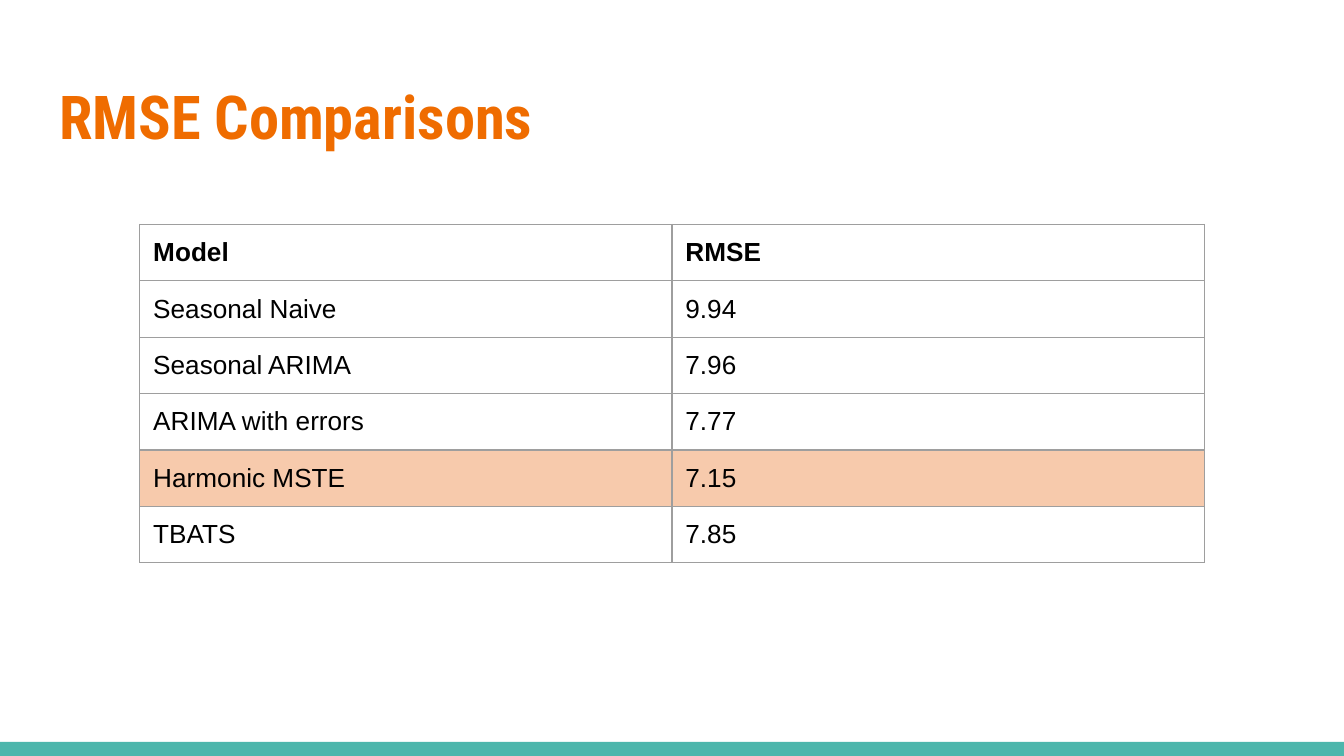
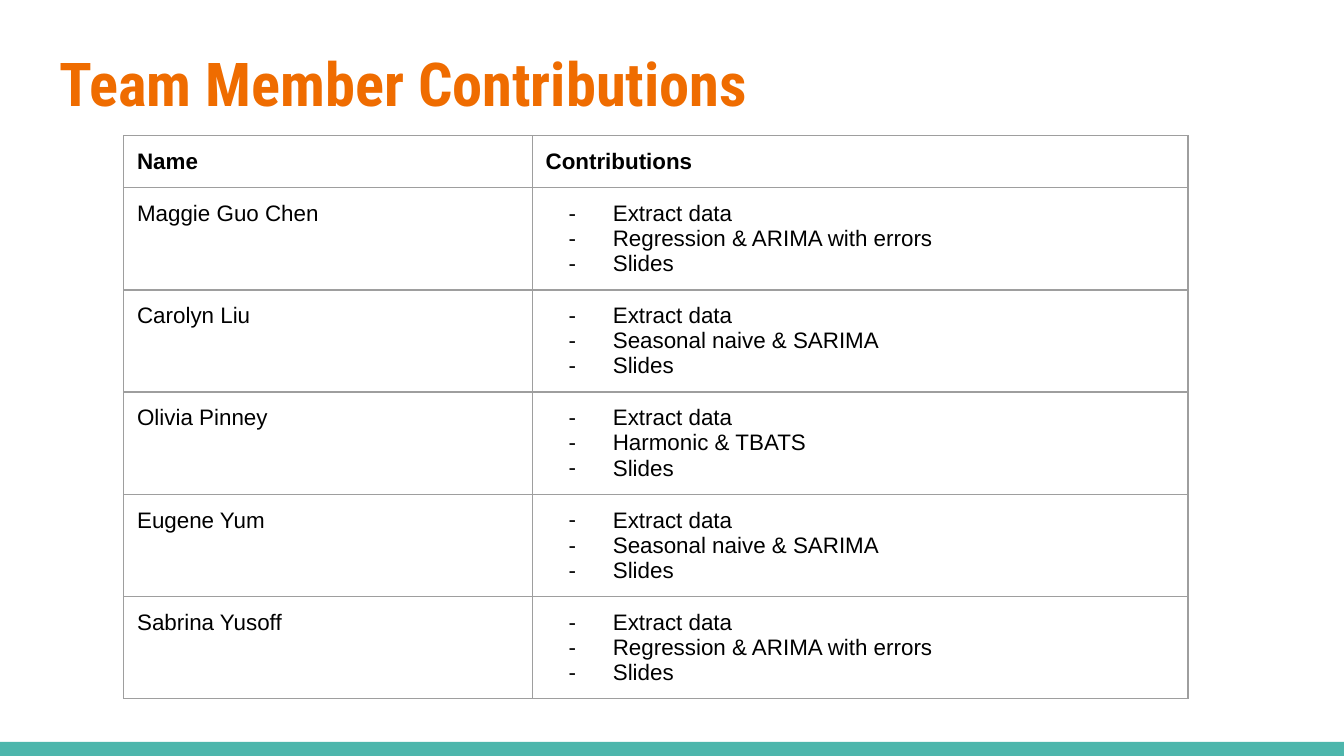
from lxml import etree
from pptx import Presentation
from pptx import util as u
from pptx.dml.color import RGBColor
from pptx.enum import shapes, text
from pptx.oxml.ns import qn

ORANGE, TEAL, PEACH = "EF6C00", "4DB6AC", "F7CAAC"
GREY, BLACK, WHITE = "9E9E9E", "000000", "FFFFFF"


def rgb(color):
    return RGBColor.from_string(color)


def solid(parent, color):
    fill = etree.SubElement(parent, qn("a:solidFill"))
    etree.SubElement(fill, qn("a:srgbClr"), val=color)


def write(p, content, size=14, font="Arial", color=BLACK, bold=False):
    p.alignment = text.PP_ALIGN.LEFT
    r = p.add_run()
    r.text = content
    r.font.size = u.Pt(size)
    r.font.name = font
    r.font.bold = bold
    r.font.color.rgb = rgb(color)


def dash(p):
    ppr = p._p.get_or_add_pPr()
    ppr.set("marL", str(u.Inches(0.5)))
    ppr.set("indent", str(u.Inches(-0.33)))
    color = etree.SubElement(ppr, qn("a:buClr"))
    etree.SubElement(color, qn("a:srgbClr"), val=BLACK)
    etree.SubElement(ppr, qn("a:buFont"), typeface="Arial")
    etree.SubElement(ppr, qn("a:buChar"), char="-")


def pad(box):
    box.margin_left = box.margin_right = u.Inches(0.1)
    box.margin_top = box.margin_bottom = u.Inches(0.1)


class Deck:
    def __init__(self):
        self.prs = Presentation()
        self.prs.slide_width = u.Inches(10)
        self.prs.slide_height = u.Inches(5.625)
        self.s = None

    def slide(self, title, top):
        self.s = self.prs.slides.add_slide(self.prs.slide_layouts[5])
        self.s.background.fill.solid()
        self.s.background.fill.fore_color.rgb = rgb(WHITE)
        self.band()
        self.title(title, top)

    def band(self):
        sp = self.s.shapes.add_shape(
            shapes.MSO_SHAPE.RECTANGLE, 0, u.Inches(5.52), self.prs.slide_width, u.Inches(0.11))
        sp.shadow.inherit = False
        sp.fill.solid()
        sp.fill.fore_color.rgb = rgb(TEAL)
        sp.line.fill.background()

    def title(self, content, top):
        sp = self.s.shapes.title
        sp.left, sp.top = u.Inches(0.34), u.Inches(top)
        sp.width, sp.height = u.Inches(9.32), u.Inches(0.77)
        tf = sp.text_frame
        pad(tf)
        tf.word_wrap = True
        tf.auto_size = text.MSO_AUTO_SIZE.NONE
        tf.vertical_anchor = text.MSO_ANCHOR.TOP
        write(tf.paragraphs[0], content, size=32.4, font="Roboto Condensed", color=ORANGE, bold=True)

    def table(self, rows, left, top, widths, heights, size, highlight=None):
        frame = self.s.shapes.add_table(
            len(rows), len(widths), u.Inches(left), u.Inches(top),
            u.Inches(sum(widths)), u.Inches(sum(heights)))
        tbl = frame.table
        tbl.first_row = tbl.horz_banding = False
        for col, width in zip(tbl.columns, widths):
            col.width = u.Inches(width)
        for i, (row, height) in enumerate(zip(rows, heights)):
            tbl.rows[i].height = u.Inches(height)
            for j, content in enumerate(row):
                self.cell(tbl.cell(i, j), content, size, i == 0, PEACH if i == highlight else None)

    def cell(self, cell, content, size, bold, fill):
        pad(cell)
        tcpr = cell._tc.get_or_add_tcPr()
        for side in ("lnL", "lnR", "lnT", "lnB"):
            solid(etree.SubElement(tcpr, qn("a:" + side), w=str(u.Pt(0.75))), GREY)
        if fill:
            cell.fill.solid()
            cell.fill.fore_color.rgb = rgb(fill)
        else:
            cell.fill.background()
        tf = cell.text_frame
        items = content if isinstance(content, list) else [content]
        for k, item in enumerate(items):
            p = tf.add_paragraph() if k else tf.paragraphs[0]
            if isinstance(content, list):
                dash(p)
            write(p, item, size=size, bold=bold)


def main():
    deck = Deck()

    deck.slide("RMSE Comparisons", 0.49)
    scores = [
        ("Model", "RMSE"),
        ("Seasonal Naive", "9.94"),
        ("Seasonal ARIMA", "7.96"),
        ("ARIMA with errors", "7.77"),
        ("Harmonic MSTE", "7.15"),
        ("TBATS", "7.85"),
    ]
    deck.table(scores, 1.04, 1.67, [3.96] * 2, [0.42] * len(scores), 14, highlight=4)

    deck.slide("Team Member Contributions", 0.24)
    members = [
        ("Maggie Guo Chen", "Regression & ARIMA with errors"),
        ("Carolyn Liu", "Seasonal naive & SARIMA"),
        ("Olivia Pinney", "Harmonic & TBATS"),
        ("Eugene Yum", "Seasonal naive & SARIMA"),
        ("Sabrina Yusoff", "Regression & ARIMA with errors"),
    ]
    rows = [("Name", "Contributions")]
    rows += [(name, ["Extract data", model, "Slides"]) for name, model in members]
    deck.table(rows, 0.92, 1.01, [3.04, 4.88], [0.29] + [0.58] * len(members), 12)

    deck.prs.save("out.pptx")


if __name__ == "__main__":
    main()
